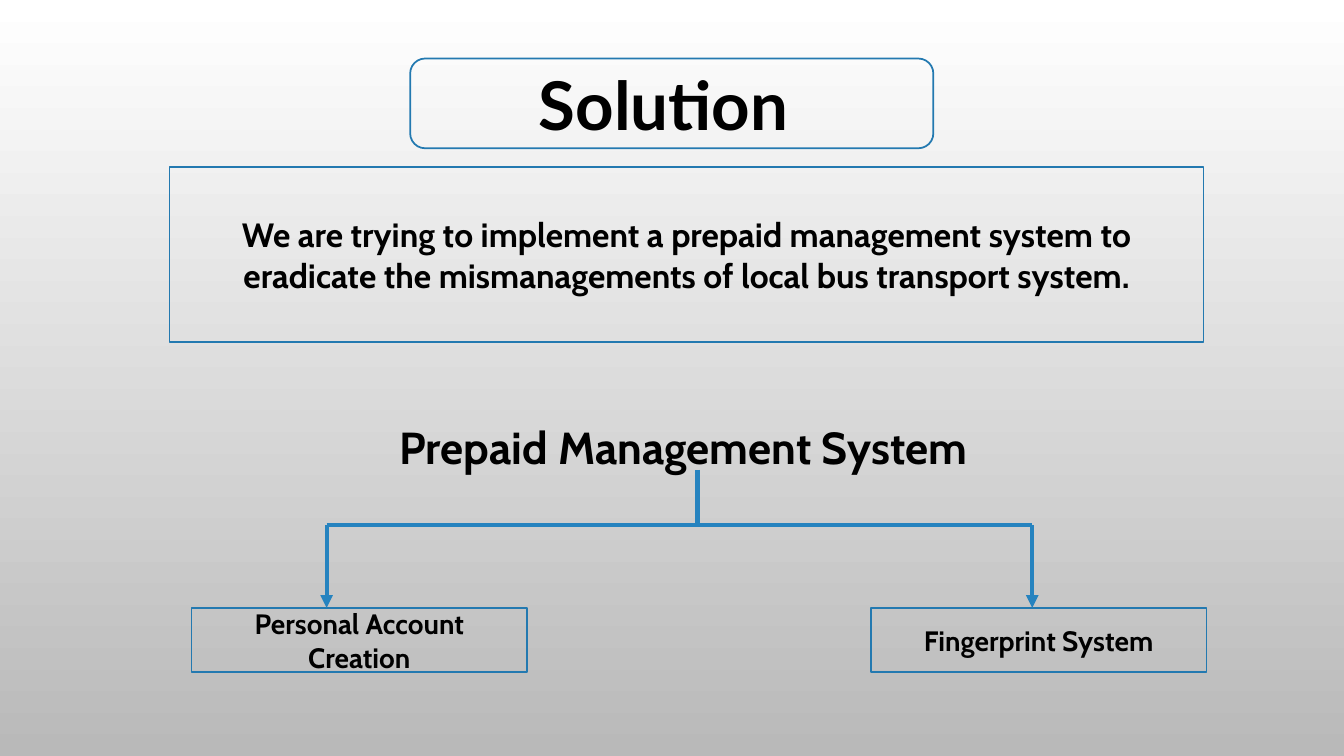
from pptx import Presentation
from pptx.dml.color import RGBColor
from pptx.enum.shapes import MSO_CONNECTOR, MSO_SHAPE
from pptx.enum.text import MSO_ANCHOR, PP_ALIGN
from pptx.oxml.ns import qn
from pptx.util import Pt
from lxml import etree

RECT, ROUND = MSO_SHAPE.RECTANGLE, MSO_SHAPE.ROUNDED_RECTANGLE
LINE = MSO_CONNECTOR.STRAIGHT
TOP, MIDDLE = MSO_ANCHOR.TOP, MSO_ANCHOR.MIDDLE
LEFT, CENTER = PP_ALIGN.LEFT, PP_ALIGN.CENTER
COLORS = {"text": "000000", "border": "2379B0", "arrow": "2683BF",
          "light": "FFFFFF", "dark": "B9B9B9"}


def color(name):
    return RGBColor.from_string(COLORS[name])


def write(shape, text, size, font="Cabin", align=CENTER, anchor=MIDDLE, indent=7.2):
    frame = shape.text_frame
    frame.word_wrap = True
    frame.vertical_anchor = anchor
    frame.margin_left = Pt(indent)
    para = frame.paragraphs[0]
    para.alignment = align
    run = para.add_run()
    run.text = text
    run.font.name = font
    run.font.size = Pt(size)
    run.font.bold = True
    run.font.color.rgb = color("text")


prs = Presentation()
prs.slide_width, prs.slide_height = Pt(960), Pt(540)
slide = prs.slides.add_slide(prs.slide_layouts[5])
shapes = slide.shapes

# Background gradient, top to bottom
back = slide.background.fill
back.gradient()
back.gradient_angle = 270
for stop, name in zip(back.gradient_stops, ("light", "dark")):
    stop.color.rgb = color(name)

# Title
title = shapes.title
title.left, title.top, title.width, title.height = Pt(353.5), Pt(41.8), Pt(252.7), Pt(65.5)
write(title, "Solution ", 48, font="Lato", anchor=TOP)

# Root of the tree
root = shapes.add_textbox(Pt(233.3), Pt(295.9), Pt(596.9), Pt(46))
write(root, "Prepaid Management System", 32, align=LEFT, anchor=TOP, indent=52)

# Outlined boxes: two branches, the statement and the title frame
boxes = [
    (RECT, 136.8, 434.2, 239.8, 46, "Personal Account Creation", 20),
    (RECT, 622.1, 434.2, 239.8, 46, "Fingerprint System", 20),
    (RECT, 121, 119.5, 738.7, 124.6,
     "We are trying to implement a prepaid management system to eradicate "
     "the mismanagements of local bus transport system.", 24),
    (ROUND, 293, 41.8, 373.7, 64.1, "", 0),
]
for kind, x, y, w, h, text, size in boxes:
    box = shapes.add_shape(kind, Pt(x), Pt(y), Pt(w), Pt(h))
    box.shadow.inherit = False
    box.fill.background()
    box.line.color.rgb = color("border")
    box.line.width = Pt(1.25)
    if text:
        write(box, text, size)

# Tree lines: stem, crossbar and two arrows
stem, west, east = 498.2, 233.3, 737.3
start, bar, end = 335.5, 375.1, 434.2
links = [
    (stem, start, stem, bar, False),
    (west, bar, east, bar, False),
    (west, bar, west, end, True),
    (east, bar, east, end, True),
]
for x1, y1, x2, y2, arrow in links:
    link = shapes.add_connector(LINE, Pt(x1), Pt(y1), Pt(x2), Pt(y2))
    link.line.color.rgb = color("arrow")
    link.line.width = Pt(3)
    if arrow:
        etree.SubElement(link.line._get_or_add_ln(), qn("a:tailEnd"), type="triangle")
    etree.SubElement(link._element.spPr, qn("a:effectLst"))

prs.save("out.pptx")
